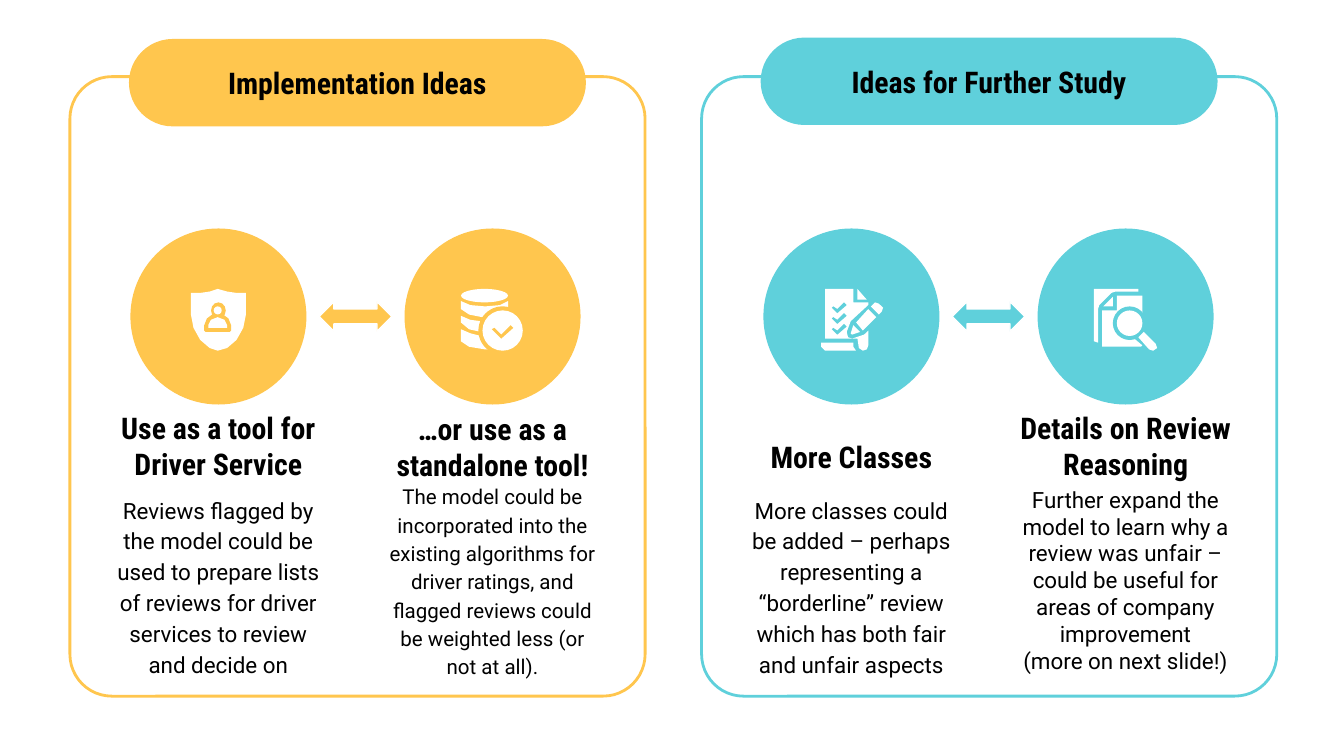
from pptx import Presentation
from pptx.dml.color import RGBColor
from pptx.enum import shapes, text
from pptx.util import Emu, Pt

PX = 9144  # EMU per px, 100 px to the inch
WHITE, BLACK = "FFFFFF", "000000"
YELLOW, TEAL = "FFC64E", "5FD0DB"
KIND = shapes.MSO_SHAPE

# Icons, back to front: (colour, outline points) or (colour, ellipse box);
# colour None takes the colour of the panel
SHIELD = [
    (WHITE, [(142, 218), (149, 218), (156, 217), (162, 215), (169, 217), (176, 218),
             (183, 218), (183, 234), (181, 244), (176, 253), (169, 259), (162, 261),
             (156, 259), (149, 253), (144, 244), (142, 234)]),
    (None, (157, 225, 11, 12)),
    (None, [(152, 246), (152, 242), (154, 237), (158, 234), (166, 234), (170, 237),
            (172, 242), (172, 246), (171, 247), (153, 247)]),
    (WHITE, (159, 228, 6, 6)),
    (WHITE, [(155, 244), (155, 242), (157, 238), (162, 236), (167, 238), (169, 242),
             (169, 244)]),
]
DATABASE = [
    (WHITE, (343, 215, 35, 10)),
    (WHITE, [(343, 224), (350, 227), (361, 228), (372, 227), (378, 224), (378, 236),
             (359, 236), (349, 234), (343, 230)]),
    (WHITE, [(343, 235), (350, 238), (358, 239), (358, 247), (349, 245), (343, 240)]),
    (WHITE, [(343, 245), (350, 248), (358, 250), (365, 260), (361, 260), (349, 258),
             (343, 254)]),
    (None, (356, 228, 36, 36)),
    (WHITE, (359, 231, 30, 30)),
    (None, [(366, 245), (368, 244), (373, 249), (380, 242), (382, 244), (373, 252)]),
]
CHECKLIST = [
    (WHITE, [(614, 215), (635, 215), (635, 225), (646, 225), (646, 227), (633, 239),
             (630, 247), (631, 251), (634, 252), (643, 249), (646, 246), (646, 257),
             (645, 260), (642, 261), (639, 259), (638, 252), (614, 252)]),
    (WHITE, [(638, 215), (645, 223), (638, 223)]),
    (WHITE, [(611, 255), (635, 255), (635, 258), (637, 261), (614, 261), (611, 258)]),
    (WHITE, [(635, 242), (640, 247), (634, 249), (633, 248)]),
    (WHITE, [(646, 230), (652, 236), (642, 246), (637, 240)]),
    (WHITE, [(648, 228), (651, 225), (654, 226), (657, 229), (656, 232), (654, 234)]),
] + [
    (None, [(619, y + 4), (620, y + 3), (623, y + 5), (628, y), (630, y + 2), (623, y + 8)])
    for y in (225, 233, 241)
]
MAGNIFIER = [
    (WHITE, [(814, 215), (847, 215), (847, 217), (830, 217), (827, 218), (818, 227),
             (817, 230), (817, 255), (814, 254)]),
    (WHITE, [(828, 221), (828, 228), (821, 228)]),
    (WHITE, [(831, 220), (850, 220), (850, 233), (840, 241), (844, 252), (850, 257),
             (849, 258), (820, 258), (820, 231), (831, 231)]),
    (None, (828, 228, 25, 25)),
    (WHITE, (831, 231, 19, 19)),
    (WHITE, [(851, 247), (860, 256), (861, 259), (858, 261), (855, 260), (847, 251)]),
]

PANELS = [
    {"heading": "Ideas for Further Study", "color": TEAL, "left": 522, "top": 28,
     "circle_left": 568, "ideas": [
         {"caption": "More Classes", "caption_size": (196, 36), "icon": CHECKLIST,
          "details": ["More classes could be added – perhaps representing a “borderline” "
                      "review which has both fair and unfair aspects"],
          "height": 155, "format": {"size": 12, "spacing": 1.15}},
         {"caption": "Details on Review Reasoning", "caption_size": (212, 53),
          "icon": MAGNIFIER,
          "details": ["Further expand the model to learn why a review was unfair – could "
                      "be useful for areas of company improvement",
                      "(more on next slide!)"],
          "height": 147, "format": {"size": 12}}]},
    {"heading": "Implementation Ideas", "color": YELLOW, "left": 52, "top": 29,
     "circle_left": 97, "ideas": [
         {"caption": "Use as a tool for Driver Service", "caption_size": (196, 53),
          "icon": SHIELD,
          "details": ["Reviews flagged by the model could be used to prepare lists of "
                      "reviews for driver services to review and decide on"],
          "height": 155, "format": {"size": 12, "spacing": 1.15}},
         {"caption": "…or use as a standalone tool!", "caption_size": (196, 51),
          "icon": DATABASE,
          "details": ["The model could be incorporated into the existing algorithms for "
                      "driver ratings, and flagged reviews could be weighted less (or "
                      "not at all)."],
          "height": 147, "format": {"size": 11, "spacing": 1.15}}]},
]

FRAME_W, FRAME_H, FRAME_TOP = 428, 461, 57
PILL_W, PILL_H = 340, 65
CIRCLE, CIRCLE_TOP, CIRCLE_STEP = 131, 170, 204
ARROW_W, ARROW_H = 54, 22
DETAILS_TOP, DETAILS_W = 358, 196


def rgb(color):
    return RGBColor.from_string(color)


def emu(*lengths):
    return [Emu(round(length * PX)) for length in lengths]


def paint(shape, fill, line=None, width=0.75):
    shape.shadow.inherit = False
    shape.fill.solid()
    shape.fill.fore_color.rgb = rgb(fill)
    if line:
        shape.line.color.rgb = rgb(line)
        shape.line.width = Pt(width)
    else:
        shape.line.fill.background()


def add_preset(slide, kind, box, fill, adjust=(), **outline):
    shape = slide.shapes.add_shape(kind, *emu(*box))
    for number, value in enumerate(adjust):
        shape.adjustments[number] = value
    paint(shape, fill, **outline)
    return shape


def write(shape, paragraphs, size=16, font="Roboto Condensed", bold=False, spacing=1.0):
    frame = shape.text_frame
    frame.word_wrap = True
    frame.vertical_anchor = text.MSO_ANCHOR.MIDDLE
    frame.margin_left, frame.margin_right = emu(20, 20)
    frame.margin_top = frame.margin_bottom = 0
    for number, words in enumerate(paragraphs):
        paragraph = frame.add_paragraph() if number else frame.paragraphs[0]
        paragraph.alignment = text.PP_ALIGN.CENTER
        paragraph.line_spacing = spacing
        run = paragraph.add_run()
        run.text = words
        run.font.name, run.font.size, run.font.bold = font, Pt(size), bold
        run.font.color.rgb = rgb(BLACK)


def draw_icon(slide, parts, accent):
    for color, outline in parts:
        if isinstance(outline, tuple):
            add_preset(slide, KIND.OVAL, outline, color or accent)
        else:
            builder = slide.shapes.build_freeform(*outline[0], scale=PX)
            builder.add_line_segments(outline[1:], close=True)
            paint(builder.convert_to_shape(), color or accent)


def draw_idea(slide, idea, circle_left, color):
    center = circle_left + CIRCLE / 2
    add_preset(slide, KIND.OVAL, (circle_left, CIRCLE_TOP, CIRCLE, CIRCLE), color)
    draw_icon(slide, idea["icon"], color)

    # Caption sits directly on top of the details
    width, height = idea["caption_size"]
    caption = slide.shapes.add_textbox(
        *emu(center - width / 2, DETAILS_TOP - height, width, height))
    write(caption, [idea["caption"]], bold=True)
    details = slide.shapes.add_textbox(
        *emu(center - DETAILS_W / 2, DETAILS_TOP, DETAILS_W, idea["height"]))
    write(details, idea["details"], font="Roboto", **idea["format"])


def draw_panel(slide, panel):
    color, left = panel["color"], panel["left"]

    # Frame and heading
    add_preset(slide, KIND.ROUNDED_RECTANGLE, (left, FRAME_TOP, FRAME_W, FRAME_H),
               WHITE, adjust=[0.073], line=color, width=1.5)
    pill_left = left + (FRAME_W - PILL_W) / 2
    heading = add_preset(slide, KIND.ROUNDED_RECTANGLE,
                         (pill_left, panel["top"], PILL_W, PILL_H), color, adjust=[0.5])
    write(heading, [panel["heading"]], bold=True)

    # Two ideas, with an arrow halfway between their circles
    for number, idea in enumerate(panel["ideas"]):
        draw_idea(slide, idea, panel["circle_left"] + number * CIRCLE_STEP, color)
    arrow_left = panel["circle_left"] + (CIRCLE + CIRCLE_STEP - ARROW_W) / 2
    arrow_top = CIRCLE_TOP + (CIRCLE - ARROW_H) / 2
    add_preset(slide, KIND.LEFT_RIGHT_ARROW, (arrow_left, arrow_top, ARROW_W, ARROW_H),
               color, adjust=[0.5, 0.5], line=WHITE)


def main():
    deck = Presentation()
    deck.slide_width, deck.slide_height = emu(1000, 562.5)
    slide = deck.slides.add_slide(deck.slide_layouts[6])
    for panel in PANELS:
        draw_panel(slide, panel)
    deck.save("out.pptx")


if __name__ == "__main__":
    main()
